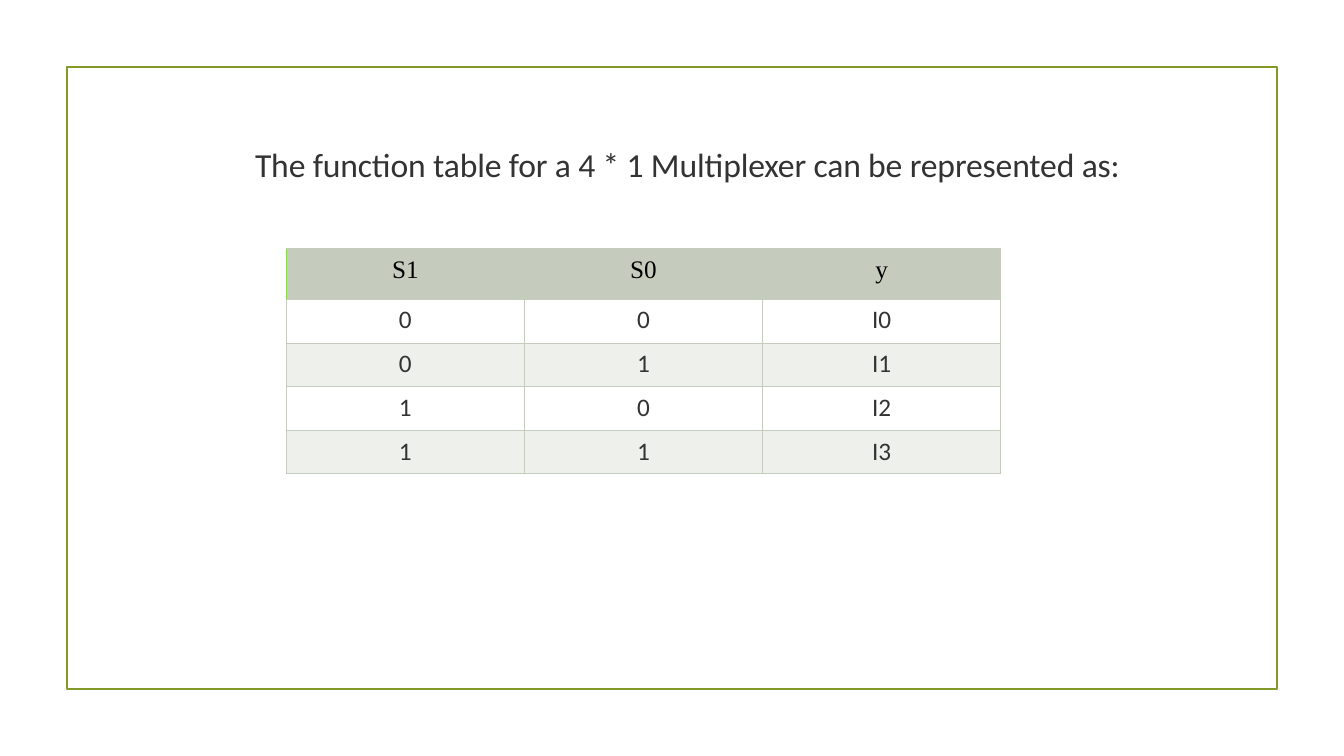
from dataclasses import dataclass

from pptx import Presentation
from pptx.dml.color import RGBColor
from pptx.enum.shapes import MSO_SHAPE
from pptx.enum.text import PP_ALIGN
from pptx.oxml import parse_xml
from pptx.oxml.ns import nsdecls
from pptx.util import Inches, Pt

WHITE = RGBColor(0xFF, 0xFF, 0xFF)
BLACK = RGBColor(0x00, 0x00, 0x00)
INK = RGBColor(0x33, 0x33, 0x33)
OLIVE = RGBColor(0x83, 0x99, 0x2A)
SAGE = RGBColor(0xC6, 0xCC, 0xBD)
PALE = RGBColor(0xEE, 0xF0, 0xEB)
LIME = RGBColor(0x90, 0xDA, 0x4D)

WIDE, HIGH = Inches(13.33), Inches(7.5)


@dataclass
class Row:
    cells: tuple[str, ...]
    fill: RGBColor
    high: float = 5.77
    top: float = 0.06
    font: str = "Calibri"
    color: RGBColor = INK


ROWS = [
    Row(("S1", "S0", "y"), SAGE, 6.67, 0.07, "Times New Roman", BLACK),
    Row(("0", "0", "I0"), WHITE, top=0.05),
    Row(("0", "1", "I1"), PALE),
    Row(("1", "0", "I2"), WHITE),
    Row(("1", "1", "I3"), PALE),
]
COL = 17.72


def across(share: float) -> int:
    """Percent of the slide's width."""
    return round(WIDE * share / 100)


def down(share: float) -> int:
    """Percent of the slide's height."""
    return round(HIGH * share / 100)


def write(frame, text: str, *, size: float, font: str = "Calibri",
          color: RGBColor = INK, align=PP_ALIGN.LEFT, track: float = 0) -> None:
    par = frame.paragraphs[0]
    par.alignment = align
    run = par.add_run()
    run.text = text
    run.font.size, run.font.name = Pt(size), font
    run.font.color.rgb = color
    if track:
        run._r.get_or_add_rPr().set("spc", str(round(track * 100)))


def pad(box, top: float) -> None:
    box.margin_left = box.margin_right = box.margin_bottom = 0
    box.margin_top = Inches(top)


def edge(cell, colors: dict[str, RGBColor]) -> None:
    props = cell._tc.get_or_add_tcPr()
    for spot, side in enumerate("LRTB"):
        props.insert(spot, parse_xml(
            f'<a:ln{side} {nsdecls("a")} w="{Pt(0.75)}"><a:solidFill>'
            f'<a:srgbClr val="{colors.get(side, SAGE)}"/>'
            f'</a:solidFill></a:ln{side}>'))


def draw_frame(slide) -> None:
    rect = slide.shapes.add_shape(MSO_SHAPE.RECTANGLE, across(5), down(8.89),
                                  across(90), down(82.22))
    rect.shadow.inherit = False
    rect.fill.background()
    rect.line.color.rgb = OLIVE
    rect.line.width = Pt(1.25)


def draw_title(slide) -> None:
    box = slide.shapes.add_textbox(across(18.98), down(18.93),
                                   across(65.25), down(5.73))
    frame = box.text_frame
    frame.word_wrap = True
    pad(frame, 0.01)
    write(frame, "The function table for a 4 * 1 Multiplexer can be represented as:",
          size=24, track=-0.1)


def draw_table(slide) -> None:
    count = len(ROWS[0].cells)
    table = slide.shapes.add_table(
        len(ROWS), count, across(21.3), down(32.93), across(COL * count),
        down(sum(row.high for row in ROWS))).table
    for col in table.columns:
        col.width = across(COL)
    for i, row in enumerate(ROWS):
        table.rows[i].height = down(row.high)
        for j, text in enumerate(row.cells):
            cell = table.cell(i, j)
            pad(cell, row.top)
            cell.fill.solid()
            cell.fill.fore_color.rgb = row.fill
            edge(cell, {"L": LIME} if i == j == 0 else {})
            write(cell.text_frame, text, size=18, font=row.font,
                  color=row.color, align=PP_ALIGN.CENTER)


def main() -> None:
    deck = Presentation()
    deck.slide_width, deck.slide_height = WIDE, HIGH
    slide = deck.slides.add_slide(deck.slide_layouts[6])
    draw_frame(slide)
    draw_table(slide)
    draw_title(slide)
    deck.save("out.pptx")


if __name__ == "__main__":
    main()
